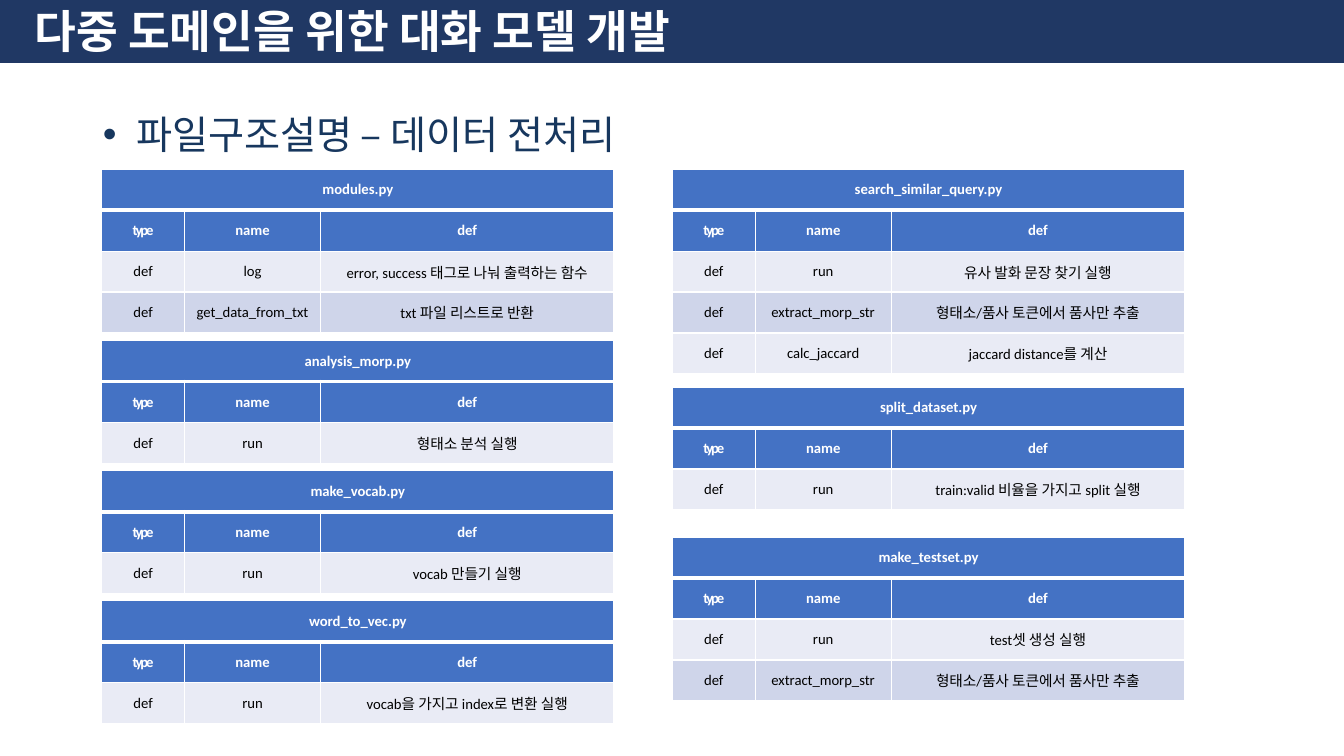
from lxml.etree import SubElement
from pptx import Presentation
from pptx.dml.color import RGBColor
from pptx.enum.shapes import MSO_SHAPE
from pptx.enum.text import MSO_ANCHOR, MSO_AUTO_SIZE, PP_ALIGN
from pptx.oxml import parse_xml
from pptx.oxml.ns import nsdecls, qn
from pptx.util import Inches, Pt

NAVY = RGBColor(0x20, 0x38, 0x64)
INK = RGBColor(0x17, 0x37, 0x5E)
BLUE = RGBColor(0x44, 0x72, 0xC4)
PALE = RGBColor(0xE9, 0xEB, 0xF5)
LAVENDER = RGBColor(0xCF, 0xD5, 0xEA)
WHITE = RGBColor(0xFF, 0xFF, 0xFF)
BLACK = RGBColor(0, 0, 0)

LEFT, RIGHT = 1.01, 6.67
COLUMN_WIDTHS = (0.82, 1.35, 2.91)
ROW_HEIGHT = Inches(2.03) // 5
HEADINGS = ("type", "name", "def")

# Each file: left, top, file name, (function name, description) pairs
FILES = [
    (LEFT, 1.68, "modules.py", [
        ("log", "error, success 태그로 나눠 출력하는 함수"),
        ("get_data_from_txt", "txt 파일 리스트로 반환")]),
    (LEFT, 3.38, "analysis_morp.py", [("run", "형태소 분석 실행")]),
    (LEFT, 4.67, "make_vocab.py", [("run", "vocab 만들기 실행")]),
    (LEFT, 5.96, "word_to_vec.py", [("run", "vocab을 가지고 index로 변환 실행")]),
    (RIGHT, 1.68, "search_similar_query.py", [
        ("run", "유사 발화 문장 찾기 실행"),
        ("extract_morp_str", "형태소/품사 토큰에서 품사만 추출"),
        ("calc_jaccard", "jaccard distance를 계산")]),
    (RIGHT, 3.84, "split_dataset.py", [("run", "train:valid 비율을 가지고 split 실행")]),
    (RIGHT, 5.33, "make_testset.py", [
        ("run", "test셋 생성 실행"),
        ("extract_morp_str", "형태소/품사 토큰에서 품사만 추출")]),
]


class SlideBuilder:
    font_name = "Calibri"

    def __init__(self, slide):
        self.slide = slide

    def style(self, paragraph, size, color, bold=False):
        font = paragraph.font
        font.name, font.size, font.bold = self.font_name, Pt(size), bold
        font.color.rgb = color

    def band(self, left, top, width, height, color):
        shape = self.slide.shapes.add_shape(
            MSO_SHAPE.RECTANGLE, Inches(left), Inches(top), Inches(width), Inches(height))
        shape.shadow.inherit = False
        shape.fill.solid()
        shape.fill.fore_color.rgb = color
        shape.line.color.rgb = color
        shape.line.width = Pt(1)
        # Keep the band behind the placeholders
        self.slide.shapes._spTree.insert(2, shape._element)

    def place(self, placeholder, left, top, width, height, text, anchor):
        placeholder.left, placeholder.top = Inches(left), Inches(top)
        placeholder.width, placeholder.height = Inches(width), Inches(height)
        frame = placeholder.text_frame
        frame.text = text
        frame.word_wrap = True
        frame.auto_size = MSO_AUTO_SIZE.NONE
        frame.vertical_anchor = anchor
        paragraph = frame.paragraphs[0]
        paragraph.alignment = PP_ALIGN.LEFT
        paragraph.space_before = Pt(0)
        return paragraph

    def title(self, text):
        paragraph = self.place(self.slide.shapes.title, 0.24, 0.06, 12.87, 0.55,
                               text, MSO_ANCHOR.MIDDLE)
        paragraph.line_spacing = 0.9
        self.style(paragraph, 32.4, WHITE, bold=True)
        paragraph.runs[0]._r.get_or_add_rPr().append(parse_xml(
            f'<a:effectLst {nsdecls("a")}><a:outerShdw blurRad="38100" dist="38100" '
            'dir="2700000"><a:srgbClr val="000000"><a:alpha val="43000"/></a:srgbClr>'
            '</a:outerShdw></a:effectLst>'))

    def bullet(self, text):
        paragraph = self.place(self.slide.placeholders[1], 0.92, 0.95, 11.5, 0.73,
                               text, MSO_ANCHOR.TOP)
        paragraph.line_spacing = 1.2
        properties = paragraph._p.get_or_add_pPr()
        properties.set("marL", str(Inches(0.33)))
        properties.set("indent", str(-Inches(0.33)))
        SubElement(properties, qn("a:buFont")).set("typeface", "Arial")
        SubElement(properties, qn("a:buChar")).set("char", "•")
        self.style(paragraph, 28, INK)

    def borders(self, cell, top, bottom):
        properties = cell._tc.get_or_add_tcPr()
        for side, width in (("L", 1), ("R", 1), ("T", top), ("B", bottom)):
            properties.append(parse_xml(
                f'<a:ln{side} {nsdecls("a")} w="{Pt(width)}"><a:solidFill>'
                f'<a:srgbClr val="{WHITE}"/></a:solidFill></a:ln{side}>'))

    def cell(self, cell, text, row):
        heading = row < 2
        self.borders(cell, top=3 if row == 1 else 1, bottom=3 if row == 0 else 1)
        cell.fill.solid()
        cell.fill.fore_color.rgb = BLUE if heading else (PALE, LAVENDER)[row % 2]
        cell.vertical_anchor = MSO_ANCHOR.MIDDLE
        cell.text = text
        paragraph = cell.text_frame.paragraphs[0]
        paragraph.alignment = PP_ALIGN.CENTER
        self.style(paragraph, 10.5, WHITE if heading else BLACK, bold=heading)
        if text == "type":
            paragraph.runs[0]._r.get_or_add_rPr().set("spc", "-150")

    def file_table(self, left, top, file_name, functions):
        rows = [(file_name, "", ""), HEADINGS] + [("def", *entry) for entry in functions]
        table = self.slide.shapes.add_table(
            len(rows), len(COLUMN_WIDTHS), Inches(left), Inches(top),
            Inches(sum(COLUMN_WIDTHS)), ROW_HEIGHT * len(rows)).table
        table.first_row = table.horz_banding = False
        for column, width in zip(table.columns, COLUMN_WIDTHS):
            column.width = Inches(width)
        for row, texts in enumerate(rows):
            for column, text in enumerate(texts):
                self.cell(table.cell(row, column), text, row)
        table.cell(0, 0).merge(table.cell(0, len(COLUMN_WIDTHS) - 1))


def main():
    presentation = Presentation()
    presentation.slide_width, presentation.slide_height = Inches(13.33), Inches(7.5)
    builder = SlideBuilder(presentation.slides.add_slide(presentation.slide_layouts[1]))

    # Heading
    builder.band(0, 0, 13.33, 0.62, NAVY)
    builder.title("다중 도메인을 위한 대화 모델 개발")
    builder.bullet("파일구조설명 – 데이터 전처리")

    # One table per file
    for file in FILES:
        builder.file_table(*file)

    presentation.save("out.pptx")


if __name__ == "__main__":
    main()
